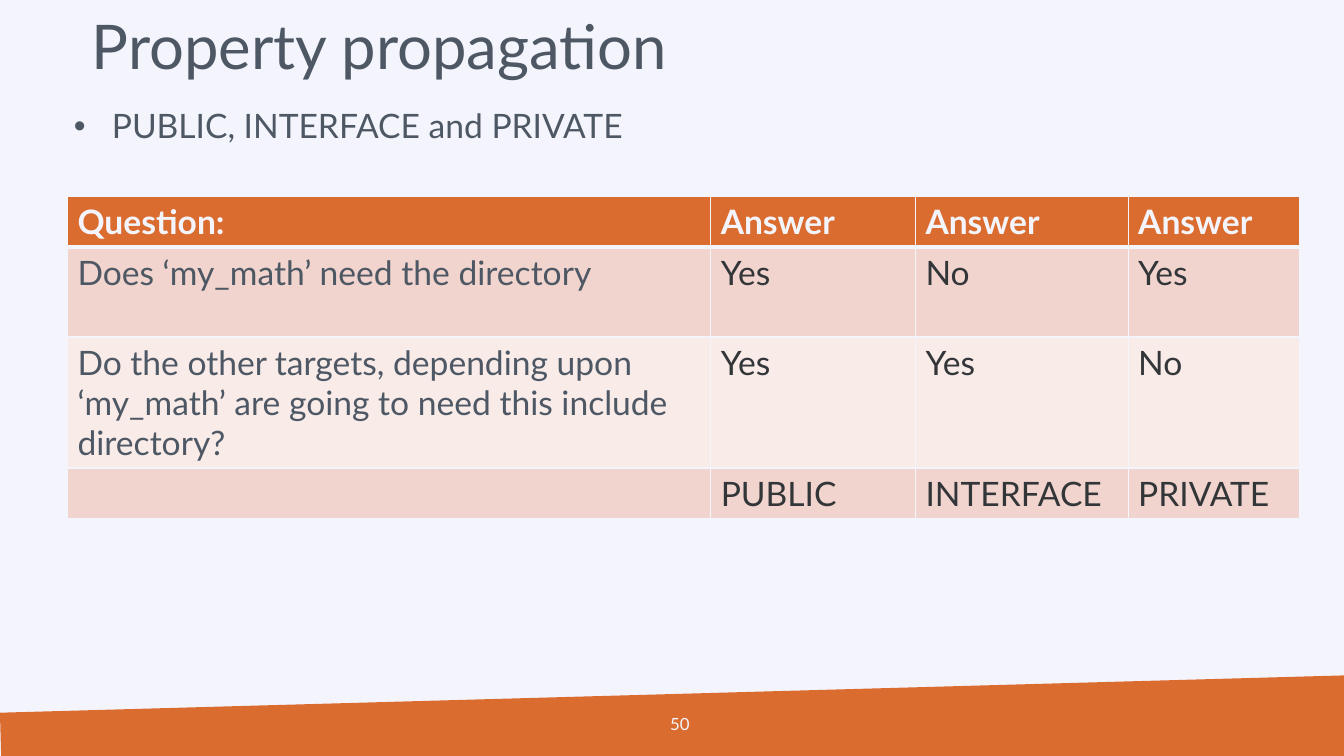
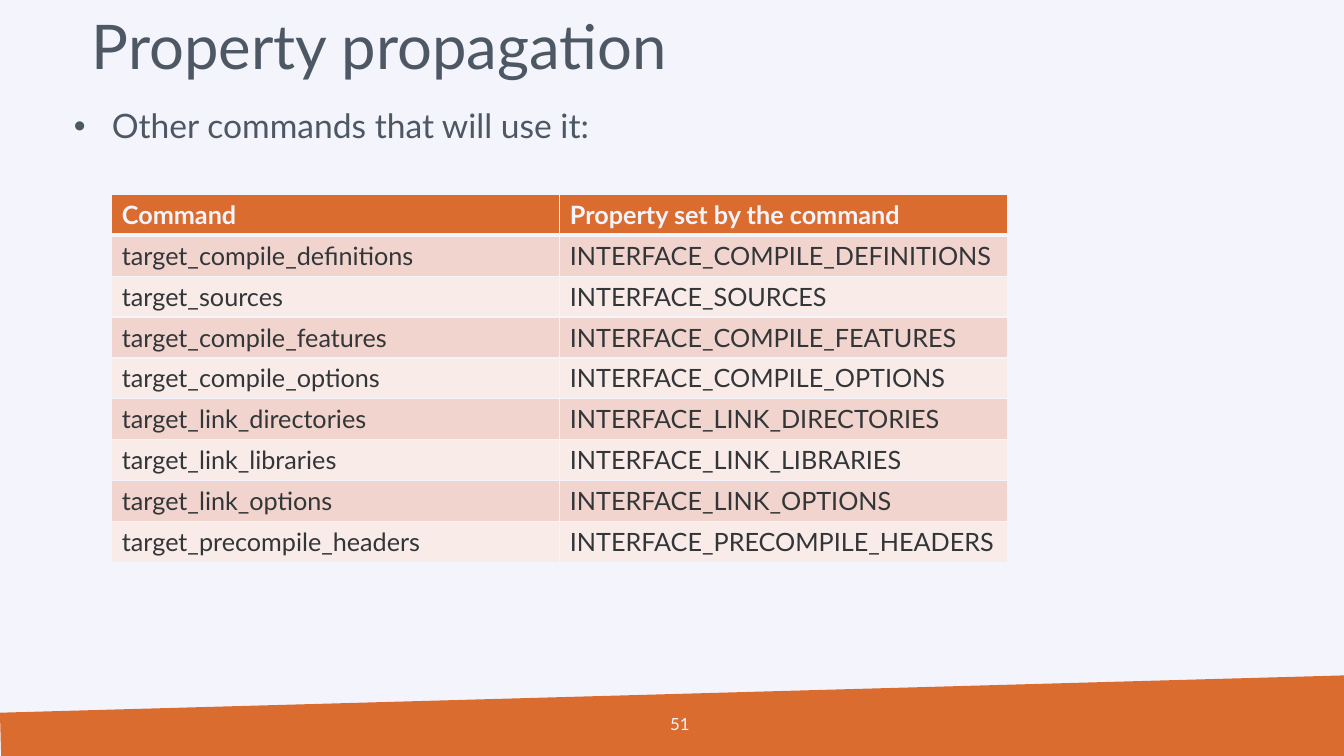
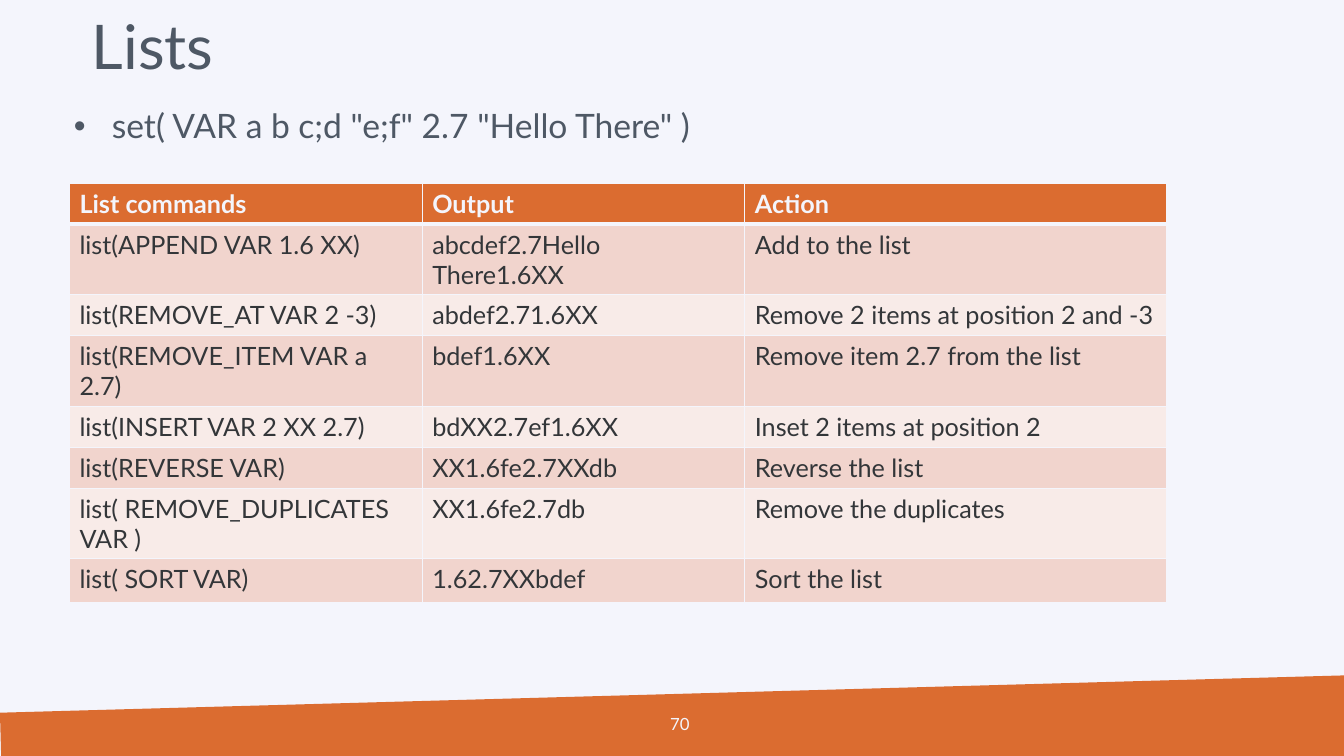
"""Build three slides of tables about build properties and list commands."""
from dataclasses import dataclass

from lxml import etree
from pptx import Presentation
from pptx.dml.color import RGBColor
from pptx.enum import text as t
from pptx.oxml import ns
from pptx.util import Cm, Pt

FONT = "Lato"
PAPER, ORANGE, SLATE, INK = "F4F5FC", "DB6C30", "4E5865", "333639"
BANDS = ("F1D4CD", "F8EBE8")
WIDTH, HEIGHT = 33.87, 19.05


@dataclass
class Grid:
    """A table: place, column widths, row heights (cm), rows of text and format."""
    left: float
    top: float
    cols: list[float]
    heights: list[float]
    rows: list[tuple[str, ...]]
    size: int = 18
    lead: str = INK


@dataclass
class Page:
    """One slide: title, bullet line, page number and table."""
    title: str
    bullet: str
    number: str
    grid: Grid


PAGES = [
    Page("Property propagation", "PUBLIC, INTERFACE and PRIVATE", "50", Grid(
        1.7, 4.95, [16.21, 5.16, 5.36, 4.32], [1.27, 2.27, 3.3, 1.27], [
            ("Question:", "Answer", "Answer", "Answer"),
            ("Does ‘my_math’ need the directory", "Yes", "No", "Yes"),
            ("Do the other targets, depending upon ‘my_math’ are going to need "
             "this include directory?", "Yes", "Yes", "No"),
            ("", "PUBLIC", "INTERFACE", "PRIVATE"),
        ], size=24, lead=SLATE)),
    Page("Property propagation", "Other commands that will use it:", "51", Grid(
        2.82, 4.9, [11.29] * 2, [1.03] * 9, [
            ("Command", "Property set by the command"),
            *((f"target_{name}", f"INTERFACE_{name.upper()}") for name in (
                "compile_definitions", "sources", "compile_features",
                "compile_options", "link_directories", "link_libraries",
                "link_options", "precompile_headers")),
        ])),
    Page("Lists", 'set( VAR a b c;d "e;f" 2.7 "Hello There" )', "70", Grid(
        1.75, 4.62, [8.89, 8.13, 10.64],
        [1.03, 1.78, 1.03, 1.78, 1.03, 1.03, 1.78, 1.11], [
            ("List commands", "Output", "Action"),
            ("list(APPEND VAR 1.6 XX)", "abcdef2.7Hello There1.6XX",
             "Add to the list"),
            ("list(REMOVE_AT VAR 2 -3)", "abdef2.71.6XX",
             "Remove 2 items at position 2 and -3"),
            ("list(REMOVE_ITEM VAR a 2.7)", "bdef1.6XX",
             "Remove item 2.7 from the list"),
            ("list(INSERT VAR 2 XX 2.7)", "bdXX2.7ef1.6XX",
             "Inset 2 items at position 2"),
            ("list(REVERSE VAR)", "XX1.6fe2.7XXdb", "Reverse the list"),
            ("list( REMOVE_DUPLICATES VAR )", "XX1.6fe2.7db",
             "Remove the duplicates"),
            ("list( SORT VAR)", "1.62.7XXbdef", "Sort the list"),
        ])),
]


def paint(fill, color: str) -> None:
    """Give a fill one solid colour."""
    fill.solid()
    fill.fore_color.rgb = RGBColor.from_string(color)


def write(tf, text: str, *, size: int, color: str = SLATE, bold: bool = False,
          align=t.PP_ALIGN.LEFT, spacing: float = 1.0):
    """Write one formatted paragraph and return it."""
    p = tf.paragraphs[0]
    p.alignment, p.line_spacing = align, spacing
    r = p.add_run()
    r.text = text
    r.font.name, r.font.size, r.font.bold = FONT, Pt(size), bold
    r.font.color.rgb = RGBColor.from_string(color)
    return p


def add_text_box(s, left: float, top: float, width: float, height: float):
    """Add a wrapping text box and return its text frame."""
    tf = s.shapes.add_textbox(Cm(left), Cm(top), Cm(width), Cm(height)).text_frame
    tf.word_wrap = True
    return tf


def add_footer(s, number: str) -> None:
    """Draw the slanted band and the page number on it."""
    builder = s.shapes.build_freeform(0, Cm(17.96))
    builder.add_line_segments([(Cm(x), Cm(y)) for x, y in (
        (WIDTH, 17.02), (WIDTH, HEIGHT), (0.03, HEIGHT))])
    sp = builder.convert_to_shape()
    sp.shadow.inherit = False
    paint(sp.fill, ORANGE)
    sp.line.fill.background()
    tf = add_text_box(s, 16.23, 17.73, 1.4, 1.02)
    tf.vertical_anchor = t.MSO_ANCHOR.MIDDLE
    write(tf, number, size=12, color=PAPER, align=t.PP_ALIGN.RIGHT)


def add_title(s, title: str) -> None:
    """Place and fill the title placeholder."""
    sp = s.shapes.title
    sp.left, sp.top, sp.width, sp.height = Cm(2.06), Cm(0), Cm(29.2), Cm(2.49)
    sp.text_frame.vertical_anchor = t.MSO_ANCHOR.MIDDLE
    write(sp.text_frame, title, size=44, spacing=0.9)


def add_bullet(s, text: str) -> None:
    """Add the bullet line under the title."""
    tf = add_text_box(s, 0.76, 2.77, 31.98, 1.2)
    tf.margin_left = tf.margin_top = tf.margin_right = tf.margin_bottom = 0
    p = write(tf, text, size=24, spacing=0.9)
    p.space_before = Pt(5)
    props = p._p.get_or_add_pPr()
    props.set("marL", str(Cm(2.06)))
    props.set("indent", str(Cm(-0.96)))
    etree.SubElement(props, ns.qn("a:buFont"), typeface="Arial")
    etree.SubElement(props, ns.qn("a:buChar"), char="•")


def add_borders(cell, row: int) -> None:
    """Rule a cell on four sides, thicker between header and body."""
    widths = {"L": 1, "R": 1, "T": 3 if row == 1 else 1, "B": 3 if row == 0 else 1}
    props = cell._tc.get_or_add_tcPr()
    for side, width in widths.items():
        line = etree.SubElement(props, ns.qn(f"a:ln{side}"), w=str(Pt(width)))
        fill = etree.SubElement(line, ns.qn("a:solidFill"))
        etree.SubElement(fill, ns.qn("a:srgbClr"), val=PAPER)


def add_grid(s, grid: Grid) -> None:
    """Draw a table with a header row and alternating body rows."""
    table = s.shapes.add_table(
        len(grid.rows), len(grid.cols), Cm(grid.left), Cm(grid.top),
        Cm(sum(grid.cols)), Cm(sum(grid.heights))).table
    for column, width in zip(table.columns, grid.cols):
        column.width = Cm(width)
    for i, (height, texts) in enumerate(zip(grid.heights, grid.rows)):
        table.rows[i].height = Cm(height)
        header = i == 0
        for j, text in enumerate(texts):
            cell = table.cell(i, j)
            add_borders(cell, i)
            paint(cell.fill, ORANGE if header else BANDS[(i - 1) % 2])
            if text:
                body = grid.lead if j == 0 else INK
                write(cell.text_frame, text, size=grid.size, bold=header,
                      color=PAPER if header else body)


def main() -> None:
    """Build and save the presentation."""
    prs = Presentation()
    prs.slide_width, prs.slide_height = Cm(WIDTH), Cm(HEIGHT)
    paint(prs.slide_master.background.fill, PAPER)
    for page in PAGES:
        s = prs.slides.add_slide(prs.slide_layouts[5])
        add_footer(s, page.number)
        add_title(s, page.title)
        add_bullet(s, page.bullet)
        add_grid(s, page.grid)
    prs.save("out.pptx")


if __name__ == "__main__":
    main()
